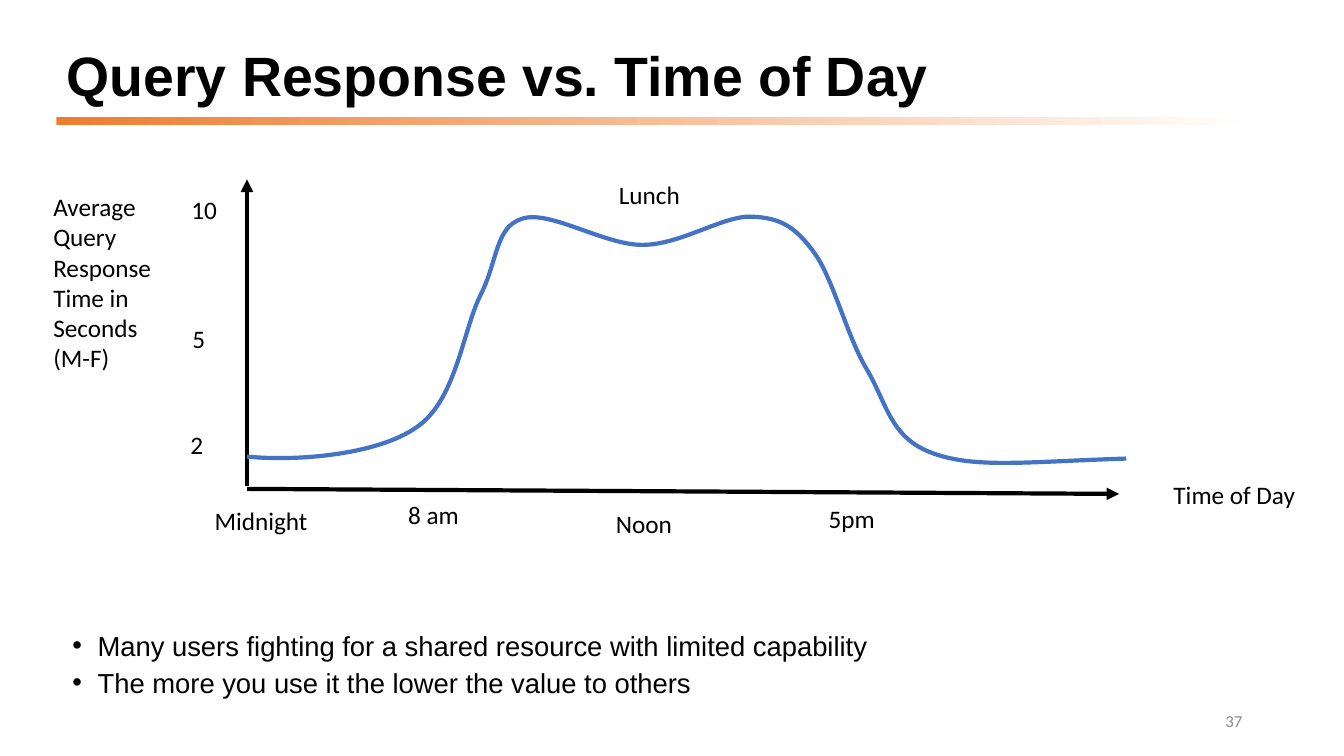
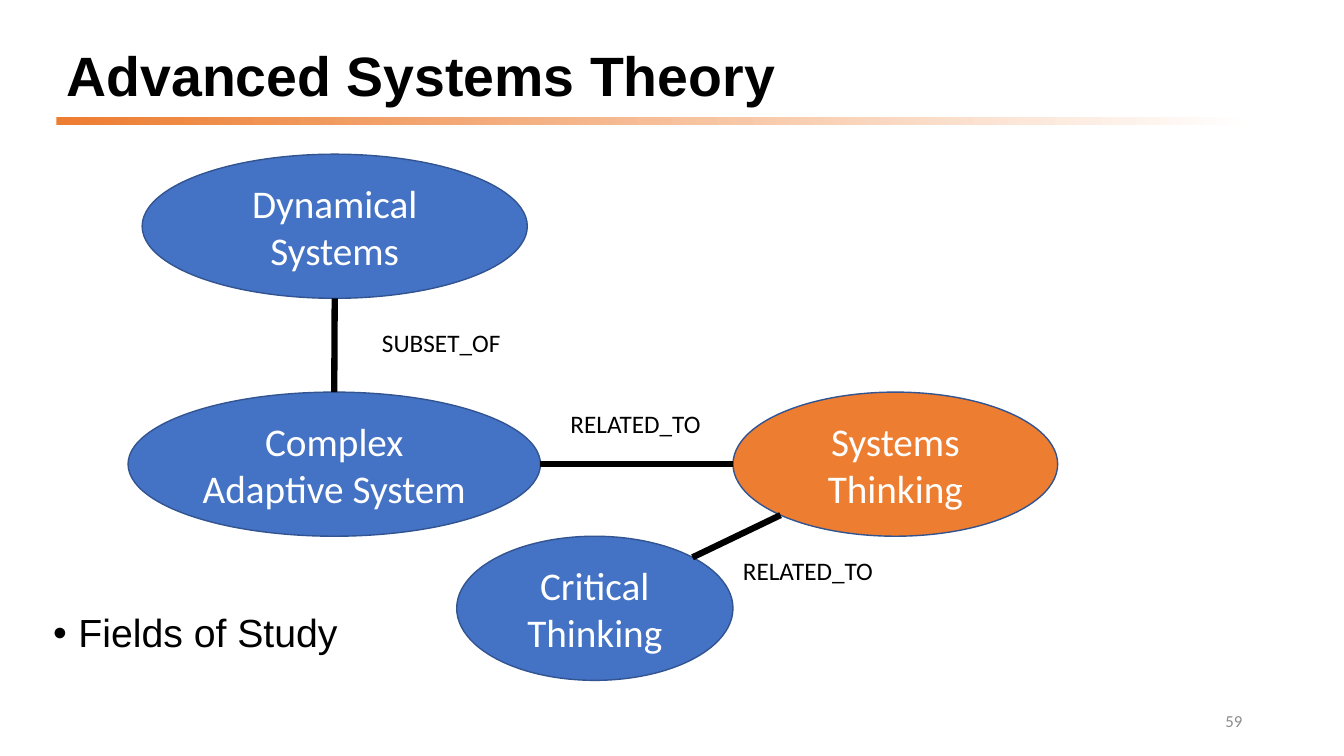
"""Build two lecture slides: a response-time curve and a map of systems fields."""
from dataclasses import dataclass
from math import cos, radians, sin

from lxml.etree import SubElement
from pptx import Presentation
from pptx.dml.color import RGBColor
from pptx.enum.shapes import MSO_CONNECTOR, MSO_SHAPE
from pptx.enum.text import MSO_ANCHOR, MSO_AUTO_SIZE, PP_ALIGN
from pptx.oxml.ns import qn
from pptx.util import Inches, Pt

COLUMNS, ROWS = 133.3, 75
BLACK, WHITE, GREY = "000000", "FFFFFF", "8C8C8C"
BLUE, DARK_BLUE, ORANGE = "4472C4", "325491", "ED7D31"
HEADING_FONT, LABEL_FONT = "Arial", "Calibri"


def color(value):
    """Turn a hex string into a colour."""
    return RGBColor.from_string(value)


def grid(*values):
    """Turn grid columns or rows into lengths; one step is a tenth of an inch."""
    return [Inches(value / 10) for value in values]


@dataclass
class Oval:
    """An ellipse on the grid."""

    left: float
    top: float
    width: float
    height: float = 14.3

    def edge(self, angle):
        """Return the outline point at an angle, clockwise from the right."""
        turn = radians(angle)
        return (self.left + self.width * (1 + cos(turn)) / 2,
                self.top + self.height * (1 + sin(turn)) / 2)


class Deck:
    """Hold the shared style and the current slide."""

    def __init__(self):
        """Start an empty widescreen presentation."""
        self.presentation = Presentation()
        self.presentation.slide_width, self.presentation.slide_height = grid(COLUMNS, ROWS)
        self.slide = None

    def start_slide(self, title, number):
        """Add a slide with its title, band and number."""
        self.slide = self.presentation.slides.add_slide(self.presentation.slide_layouts[5])
        placeholder = self.slide.shapes.title
        placeholder.left, placeholder.top, placeholder.width, placeholder.height = grid(
            5.6, 4, 115, 7.6)
        frame = placeholder.text_frame
        frame.auto_size = MSO_AUTO_SIZE.NONE
        self.set_text(frame, title, 39.6, HEADING_FONT, bold=True,
                      spacing=0.9, anchor=MSO_ANCHOR.MIDDLE)
        self.band(5.6, 11.6, 118.6, 0.8)
        self.label(number, 94.2, 69.5, 30, size=12, ink=GREY,
                   align=PP_ALIGN.RIGHT, anchor=MSO_ANCHOR.MIDDLE)

    def set_text(self, frame, text, size, font, ink=BLACK, bold=False,
                 align=PP_ALIGN.LEFT, spacing=1.0, anchor=MSO_ANCHOR.TOP):
        """Fill a text frame and format its runs."""
        frame.text = text
        frame.vertical_anchor = anchor
        for paragraph in frame.paragraphs:
            paragraph.alignment = align
            paragraph.line_spacing = spacing
            for run in paragraph.runs:
                run.font.size, run.font.name, run.font.bold = Pt(size), font, bold
                run.font.color.rgb = color(ink)

    def band(self, left, top, width, height):
        """Draw the fading band below the title."""
        shape = self.slide.shapes.add_shape(
            MSO_SHAPE.RECTANGLE, *grid(left, top, width, height))
        shape.shadow.inherit = False
        shape.line.fill.background()
        shape.fill.gradient()
        shape.fill.gradient_angle = 0
        for stop, position, value in zip(shape.fill.gradient_stops, (0, 1), (ORANGE, WHITE)):
            stop.position = position
            stop.color.rgb = color(value)

    def label(self, text, left, top, width, height=4, size=18, **style):
        """Add a plain label."""
        box = self.slide.shapes.add_textbox(*grid(left, top, width, height))
        box.text_frame.word_wrap = False
        self.set_text(box.text_frame, text, size, LABEL_FONT, **style)

    def bullets(self, lines, left, top, width, size, spacing):
        """Add a bulleted list."""
        box = self.slide.shapes.add_textbox(*grid(left, top, width, 7.6))
        box.text_frame.word_wrap = True
        self.set_text(box.text_frame, "\n".join(lines), size, HEADING_FONT, spacing=spacing)
        for index, paragraph in enumerate(box.text_frame.paragraphs):
            paragraph.space_before = Pt(10 if index else 0)
            properties = paragraph._p.get_or_add_pPr()
            properties.set("marL", str(Inches(0.25)))
            properties.set("indent", str(-Inches(0.25)))
            SubElement(properties, qn("a:buFont"), typeface=HEADING_FONT)
            SubElement(properties, qn("a:buChar"), char="•")

    def line(self, start, end, width, arrow=False):
        """Draw a straight black line, with an arrowhead at its end if asked."""
        connector = self.slide.shapes.add_connector(
            MSO_CONNECTOR.STRAIGHT, *grid(*start, *end))
        connector.line.color.rgb = color(BLACK)
        connector.line.width = Pt(width)
        properties = connector.element.spPr
        if arrow:
            SubElement(properties.find(qn("a:ln")), qn("a:tailEnd"), type="triangle")
        SubElement(properties, qn("a:effectLst"))

    def curve(self, start, points):
        """Draw a smooth line; every third point lies on it, the others steer it."""
        builder = self.slide.shapes.build_freeform(*grid(*start))
        builder.add_line_segments([grid(*point) for point in points], close=False)
        shape = builder.convert_to_shape()
        shape.shadow.inherit = False
        shape.fill.background()
        shape.line.color.rgb = color(BLUE)
        shape.line.width = Pt(3)
        outline = next(shape.element.iter(qn("a:path")))
        segments = outline.findall(qn("a:lnTo"))
        for first in range(0, len(segments), 3):
            bend = SubElement(outline, qn("a:cubicBezTo"))
            for segment in segments[first:first + 3]:
                bend.append(segment[0])
                outline.remove(segment)

    def oval(self, text, place, fill=BLUE):
        """Draw a named ellipse."""
        shape = self.slide.shapes.add_shape(
            MSO_SHAPE.OVAL, *grid(place.left, place.top, place.width, place.height))
        shape.shadow.inherit = False
        shape.fill.solid()
        shape.fill.fore_color.rgb = color(fill)
        shape.line.color.rgb = color(DARK_BLUE)
        shape.line.width = Pt(1)
        self.set_text(shape.text_frame, text, 28, LABEL_FONT, ink=WHITE,
                      align=PP_ALIGN.CENTER, anchor=MSO_ANCHOR.MIDDLE)


def add_response_slide(deck):
    """Show how query response time changes over a day."""
    deck.start_slide("Query Response vs. Time of Day", "37")
    deck.bullets(["Many users fighting for a shared resource with limited capability",
                  "The more you use it the lower the value to others"],
                 6.2, 62.8, 91.6, size=19.6, spacing=0.7)
    deck.line((24.5, 48.2), (24.5, 17.8), 3, arrow=True)
    deck.line((24.5, 48.5), (111, 49), 3, arrow=True)
    deck.curve((24.5, 45.3), [
        (29.5, 45.8), (37.5, 45.1), (41.3, 42.4),
        (45.2, 39.8), (45.9, 32.9), (47.6, 29.4),
        (49.4, 25.9), (49.1, 22.5), (51.8, 21.7),
        (54.5, 20.8), (59.9, 24.3), (63.7, 24.3),
        (67.5, 24.3), (71.7, 21.4), (74.5, 21.5),
        (77.3, 21.6), (78.8, 22.4), (80.7, 25),
        (82.6, 27.5), (84, 33.4), (86, 36.7),
        (88, 40.1), (88.3, 43.5), (92.6, 45),
        (96.8, 46.5), (102, 45.8), (111.7, 45.5)])
    deck.label("Average\nQuery\nResponse\nTime in\nSeconds\n(M-F)", 4.3, 18.5, 11.8, 19.2)
    for text, left, top, width in [
            ("10", 18, 18.8, 4.6), ("5", 18.1, 31.6, 3.3), ("2", 17.9, 42.1, 3.3),
            ("Midnight", 20.3, 49.6, 11.3), ("8 am", 39.5, 49, 7.1),
            ("Noon", 60.1, 49.9, 7.6), ("5pm", 81.2, 49.4, 6.6),
            ("Time of Day", 115.4, 47.1, 14.2), ("Lunch", 60.4, 17.3, 8.2)]:
        deck.label(text, left, top, width)


def add_theory_slide(deck):
    """Show how the fields of systems theory relate."""
    deck.start_slide("Advanced Systems Theory", "59")
    deck.bullets(["Fields of Study"], 4.3, 60.4, 32.6, size=28, spacing=0.9)
    dynamical = Oval(14.1, 15.3, 38.2)
    adaptive = Oval(12.7, 38.9, 40.9)
    systems = Oval(72.7, 38.9, 32.2)
    critical = Oval(45.3, 53.2, 27.4)
    deck.oval("Dynamical Systems", dynamical)
    deck.oval("Complex Adaptive System", adaptive)
    deck.oval("Systems Thinking", systems, ORANGE)
    deck.oval("Critical\nThinking", critical)
    for start, end in [(dynamical.edge(90), adaptive.edge(270)),
                       (systems.edge(180), adaptive.edge(0)),
                       (systems.edge(135), critical.edge(315))]:
        deck.line(start, end, 4.5)
    deck.label("SUBSET_OF", 36.9, 32, 13.9)
    for left, top in [(55.6, 40), (72.7, 54.6)]:
        deck.label("RELATED_TO", left, top, 15)


def main():
    """Build and save the presentation."""
    deck = Deck()
    add_response_slide(deck)
    add_theory_slide(deck)
    deck.presentation.save("out.pptx")


if __name__ == "__main__":
    main()
